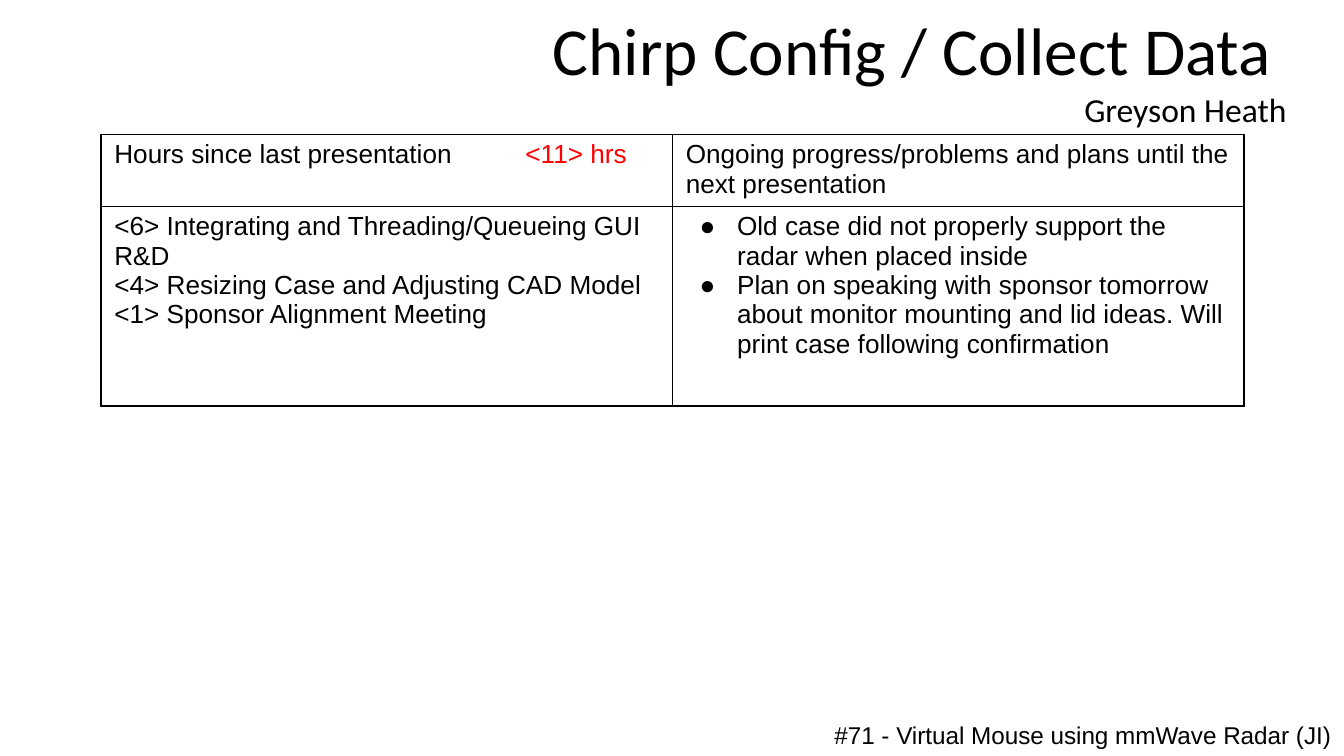
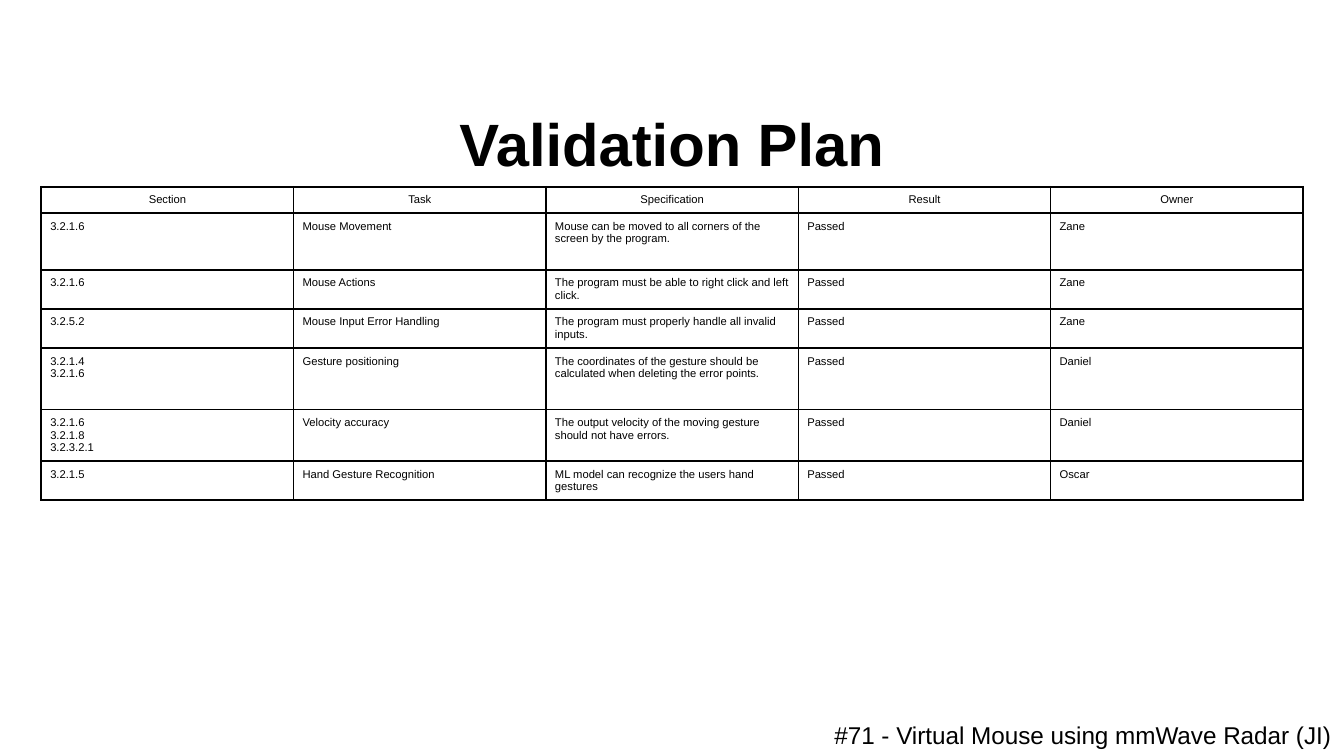
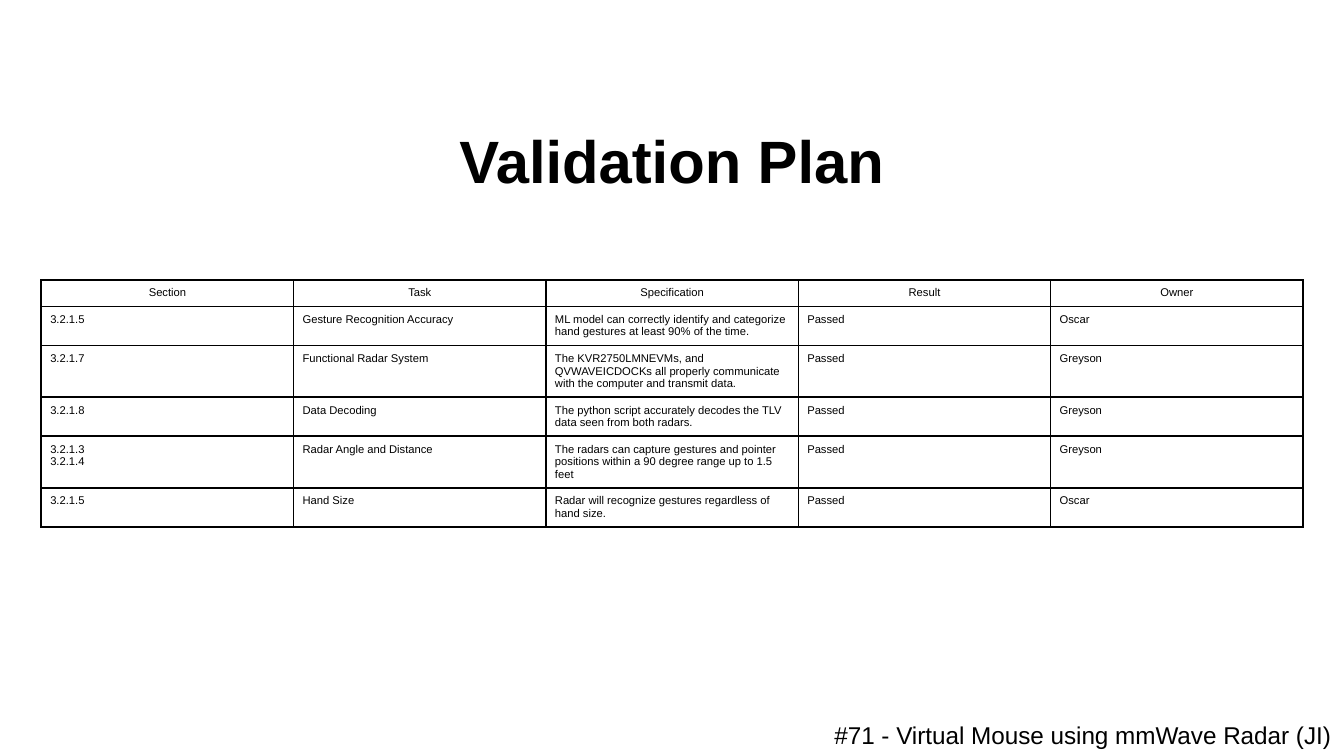
from lxml import etree
from pptx import Presentation
from pptx.dml.color import RGBColor
from pptx.enum.text import MSO_ANCHOR, MSO_AUTO_SIZE, PP_ALIGN
from pptx.oxml import parse_xml
from pptx.oxml.ns import nsdecls, qn
from pptx.util import Cm, Pt

LEFT, MID, RIGHT = PP_ALIGN.LEFT, PP_ALIGN.CENTER, PP_ALIGN.RIGHT
TOP, CENTER = MSO_ANCHOR.TOP, MSO_ANCHOR.MIDDLE
FIXED = MSO_AUTO_SIZE.NONE
BLACK, RED = "000000", "FF0000"
FOOTER = "#71 - Virtual Mouse using mmWave Radar (JI)"
HEAD = ["Section", "Task", "Specification", "Result", "Owner"]


def style(para, size, align=LEFT, face="Arial", bold=False, color=BLACK):
    para.alignment = align
    font = para.font
    font.name, font.size, font.bold = face, Pt(size), bold
    font.color.rgb = RGBColor.from_string(color)


def draw_table(slide, left, top, width, rows, highs, size, pad_x, pad_y, head_align):
    count = len(rows[0])
    grid = slide.shapes.add_table(len(rows), count, Cm(left), Cm(top),
                                  Cm(width * count), Cm(sum(highs))).table
    grid.first_row = grid.horz_banding = False
    for col in grid.columns:
        col.width = Cm(width)
    for i, (row, high) in enumerate(zip(rows, highs)):
        grid.rows[i].height = Cm(high)
        for j, text in enumerate(row):
            cell = grid.cell(i, j)
            cell.margin_left = cell.margin_right = Cm(pad_x)
            cell.margin_top = cell.margin_bottom = Cm(pad_y)
            props = cell._tc.get_or_add_tcPr()
            for side in ("lnL", "lnR", "lnT", "lnB"):
                props.append(parse_xml(
                    f'<a:{side} {nsdecls("a")} w="{Pt(1)}"><a:solidFill>'
                    f'<a:srgbClr val="{BLACK}"/></a:solidFill></a:{side}>'))
            cell.fill.background()
            cell.text = text
            for para in cell.text_frame.paragraphs:
                form = para._p.get_or_add_pPr()
                line = para.runs[0]
                if line.text.startswith("●"):
                    line.text = line.text[1:]
                    form.set("marL", str(Cm(0.97)))
                    form.set("indent", str(Cm(-0.71)))
                    etree.SubElement(form, qn("a:buFont")).set("typeface", "Arial")
                    etree.SubElement(form, qn("a:buChar")).set("char", "●")
                if "\t" in line.text:
                    label, value = line.text.split("\t")
                    line.text = label + "\t"
                    tabs = etree.SubElement(form, qn("a:tabLst"))
                    stop = etree.SubElement(tabs, qn("a:tab"))
                    stop.set("pos", str(Cm(7.77)))
                    stop.set("algn", "l")
                    hours = para.add_run()
                    hours.text = value
                    hours.font.color.rgb = RGBColor.from_string(RED)
                style(para, size, LEFT if i else head_align)


deck = Presentation()
deck.slide_width, deck.slide_height = Cm(25.4), Cm(14.29)

status = [
    ["Hours since last presentation\t<11> hrs",
     "Ongoing progress/problems and plans until the next presentation"],
    ["<6> Integrating and Threading/Queueing GUI R&D\n"
     "<4> Resizing Case and Adjusting CAD Model\n"
     "<1> Sponsor Alignment Meeting",
     "●Old case did not properly support the radar when placed inside\n"
     "●Plan on speaking with sponsor tomorrow about monitor mounting and lid ideas. "
     "Will print case following confirmation"],
]
plan_one = [
    HEAD,
    ["3.2.1.6", "Mouse Movement",
     "Mouse can be moved to all corners of the screen by the program.", "Passed", "Zane"],
    ["3.2.1.6", "Mouse Actions",
     "The program must be able to right click and left click.", "Passed", "Zane"],
    ["3.2.5.2", "Mouse Input Error Handling",
     "The program must properly handle all invalid inputs.", "Passed", "Zane"],
    ["3.2.1.4\n3.2.1.6", "Gesture positioning",
     "The coordinates of the gesture should be calculated when deleting the error points.",
     "Passed", "Daniel"],
    ["3.2.1.6\n3.2.1.8\n3.2.3.2.1", "Velocity accuracy",
     "The output velocity of the moving gesture should not have errors.", "Passed", "Daniel"],
    ["3.2.1.5", "Hand Gesture Recognition",
     "ML model can recognize the users hand gestures", "Passed", "Oscar"],
]
plan_two = [
    HEAD,
    ["3.2.1.5", "Gesture Recognition Accuracy",
     "ML model can correctly identify and categorize hand gestures at least 90% of the time.",
     "Passed", "Oscar"],
    ["3.2.1.7", "Functional Radar System",
     "The KVR2750LMNEVMs, and QVWAVEICDOCKs all properly communicate with the computer "
     "and transmit data.", "Passed", "Greyson"],
    ["3.2.1.8", "Data Decoding",
     "The python script accurately decodes the TLV data seen from both radars.",
     "Passed", "Greyson"],
    ["3.2.1.3\n3.2.1.4", "Radar Angle and Distance",
     "The radars can capture gestures and pointer positions within a 90 degree range "
     "up to 1.5 feet", "Passed", "Greyson"],
    ["3.2.1.5", "Hand Size",
     "Radar will recognize gestures regardless of hand size.", "Passed", "Oscar"],
]

wide = (14, 0.25, 0.11, LEFT)
small = (6, 0.17, 0.13, MID)
pages = [
    ("Chirp Config / Collect Data \nGreyson Heath", (6.15, 0.03, 18.42, 2.57), TOP,
     [(36, RIGHT, "Calibri"), (18, RIGHT, "Calibri")],
     (1.91, 2.54, 10.8, status, [1.36, 3.77], *wide)),
    ("Validation Plan", (1.27, 1.85, 22.86, 1.68), CENTER, [(32, MID, "Arial", True)],
     (0.78, 3.53, 4.77, plan_one, [0.5, 1.07, 0.74, 0.74, 1.16, 0.97, 0.74], *small)),
    ("Validation Plan", (1.27, 2.18, 22.86, 1.68), CENTER, [(32, MID, "Arial", True)],
     (0.78, 5.29, 4.77, plan_two, [0.5, 0.74, 0.97, 0.74, 0.97, 0.74], *small)),
]

for name, place, anchor, looks, table in pages:
    slide = deck.slides.add_slide(deck.slide_layouts[5])
    title = slide.shapes.title
    title.left, title.top, title.width, title.height = map(Cm, place)
    frame = title.text_frame
    frame.text = name
    frame.auto_size, frame.vertical_anchor = FIXED, anchor
    for para, look in zip(frame.paragraphs, looks):
        style(para, *look)

    draw_table(slide, *table)

    foot = slide.shapes.add_textbox(Cm(15.52), Cm(13.36), Cm(9.88), Cm(0.93)).text_frame
    foot.margin_left = foot.margin_top = Cm(0.25)
    foot.margin_right = foot.margin_bottom = Cm(0)
    foot.word_wrap = True
    foot.text = FOOTER
    style(foot.paragraphs[0], 13)

deck.save("out.pptx")
